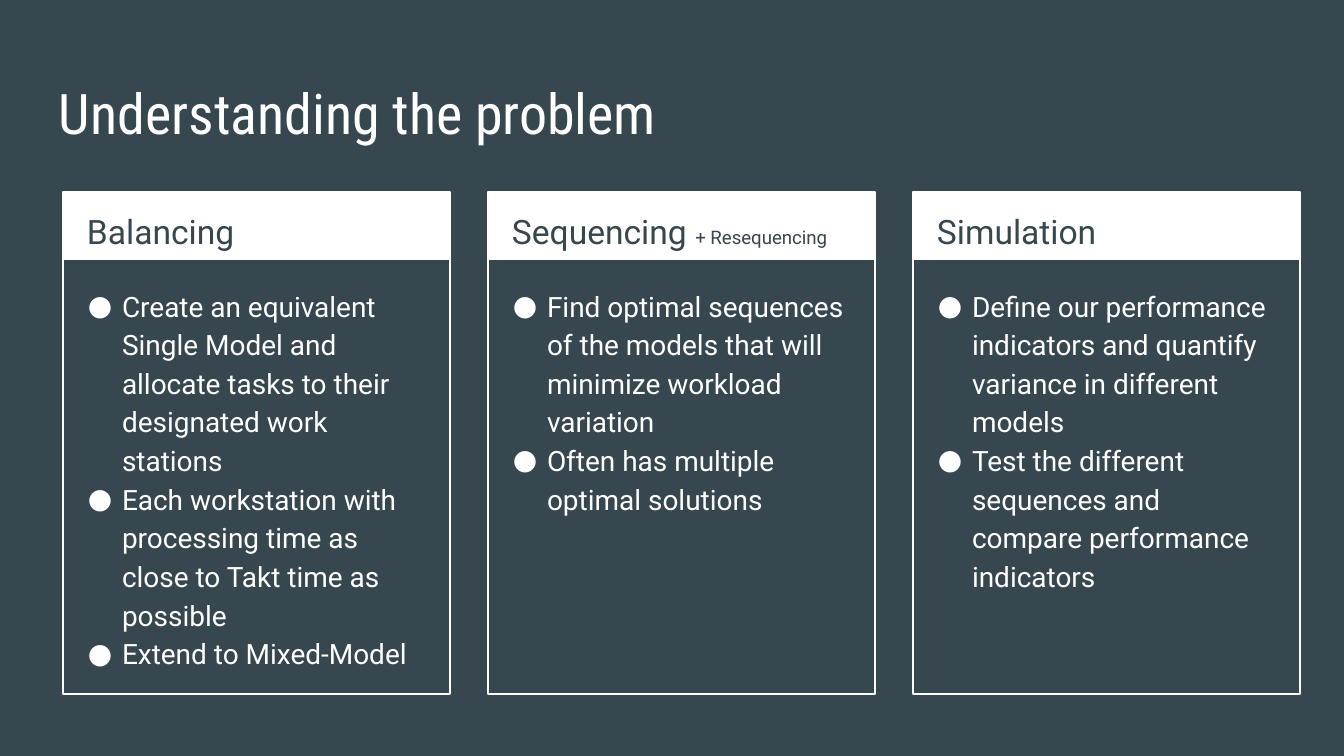
"""Build a slide with three titled cards that explain the problem."""
from dataclasses import dataclass

from lxml import etree
from pptx import Presentation
from pptx.dml.color import RGBColor
from pptx.enum.shapes import MSO_SHAPE
from pptx.enum.text import MSO_ANCHOR, MSO_AUTO_SIZE, PP_ALIGN
from pptx.oxml.ns import qn
from pptx.shapes.base import BaseShape
from pptx.shapes.group import GroupShape
from pptx.slide import Slide
from pptx.text.text import TextFrame, _Paragraph
from pptx.util import Emu, Pt

RECTANGLE = MSO_SHAPE.RECTANGLE
TOP = MSO_ANCHOR.TOP
LEFT = PP_ALIGN.LEFT
NO_AUTOFIT = MSO_AUTO_SIZE.NONE

SLATE = RGBColor(0x37, 0x47, 0x4F)
WHITE = RGBColor(0xFF, 0xFF, 0xFF)
BODY_FONT = "Roboto"
TITLE_FONT = "Roboto Condensed"

EMU_PER_PX = 914400 / 134.4
COMPARISON_LAYOUT = 3 + 1
UNUSED_PLACEHOLDER = 1
INSET = 13
BULLET_MARGIN = 34
BULLET_INDENT = -47

CARD_LEFT, CARD_TOP, CARD_PITCH = 63, 192, 425
CARD_WIDTH, CARD_HEIGHT, HEADER_HEIGHT = 387, 502, 68


@dataclass(frozen=True)
class Box:
    left: int
    top: int
    width: int
    height: int


@dataclass(frozen=True)
class Card:
    heading: str
    note: str
    points: tuple[str, ...]
    placeholder: int


CARDS = (
    Card("Balancing", "", (
        "Create an equivalent Single Model and allocate tasks to their designated work stations",
        "Each workstation with processing time as close to Takt time as possible",
        "Extend to Mixed-Model",
    ), 2),
    Card("Sequencing ", "+ Resequencing", (
        "Find optimal sequences of the models that will minimize workload variation",
        "Often has multiple optimal solutions",
    ), 3),
    Card("Simulation", "", (
        "Define our performance indicators and quantify variance in different models",
        "Test the different sequences and compare performance indicators",
    ), 4),
)


def px(length: int) -> Emu:
    """Turn pixels into EMU."""
    return Emu(round(length * EMU_PER_PX))


def place(shape: BaseShape, box: Box) -> None:
    """Move and size a shape."""
    shape.left, shape.top = px(box.left), px(box.top)
    shape.width, shape.height = px(box.width), px(box.height)


def prepare_frame(frame: TextFrame) -> None:
    """Give a text frame its wrapping, anchor and insets."""
    frame.word_wrap = True
    frame.auto_size = NO_AUTOFIT
    frame.vertical_anchor = TOP
    frame.margin_left = frame.margin_right = px(INSET)
    frame.margin_top = frame.margin_bottom = px(INSET)


def format_paragraph(paragraph: _Paragraph, spacing: float) -> None:
    """Align a paragraph and set its spacing."""
    paragraph.alignment = LEFT
    paragraph.line_spacing = spacing
    paragraph.space_before = paragraph.space_after = Pt(0)


def add_run(paragraph: _Paragraph, text: str, size: int, color: RGBColor,
            font_name: str = BODY_FONT) -> None:
    """Add a formatted run to a paragraph."""
    run = paragraph.add_run()
    run.text = text
    run.font.name = font_name
    run.font.size = Pt(size)
    run.font.bold = False
    run.font.color.rgb = color


def add_bullet(paragraph: _Paragraph) -> None:
    """Give a paragraph a white round bullet with a hanging indent."""
    properties = paragraph._p.get_or_add_pPr()
    properties.set("marL", str(px(BULLET_MARGIN)))
    properties.set("indent", str(px(BULLET_INDENT)))
    color = etree.SubElement(properties, qn("a:buClr"))
    etree.SubElement(color, qn("a:srgbClr"), val=str(WHITE))
    etree.SubElement(properties, qn("a:buFont"), typeface=BODY_FONT)
    etree.SubElement(properties, qn("a:buChar"), char="●")


def add_rectangle(group: GroupShape, box: Box, filled: bool) -> None:
    """Add a white rectangle, either filled or outlined."""
    rectangle = group.shapes.add_shape(RECTANGLE, 0, 0, 0, 0)
    place(rectangle, box)
    rectangle.shadow.inherit = False
    if filled:
        rectangle.fill.solid()
        rectangle.fill.fore_color.rgb = WHITE
        rectangle.line.fill.background()
    else:
        rectangle.fill.background()
        rectangle.line.color.rgb = WHITE
        rectangle.line.width = Pt(0.75)


def write_title(slide: Slide, text: str) -> None:
    """Place and write the slide title."""
    title = slide.shapes.title
    place(title, Box(46, 66, 1253, 85))
    prepare_frame(title.text_frame)
    paragraph = title.text_frame.paragraphs[0]
    format_paragraph(paragraph, 1.0)
    add_run(paragraph, text, 30, WHITE, TITLE_FONT)


def draw_card(slide: Slide, card: Card, left: int) -> None:
    """Draw one card with its header, frame, heading and list."""
    group = slide.shapes.add_group_shape()
    add_rectangle(group, Box(left, CARD_TOP, CARD_WIDTH, HEADER_HEIGHT), True)
    add_rectangle(group, Box(left, CARD_TOP, CARD_WIDTH, CARD_HEIGHT), False)

    heading = slide.shapes.add_textbox(0, 0, 0, 0)
    place(heading, Box(left + 11, CARD_TOP, 367, HEADER_HEIGHT))
    prepare_frame(heading.text_frame)
    paragraph = heading.text_frame.paragraphs[0]
    format_paragraph(paragraph, 1.15)
    add_run(paragraph, card.heading, 18, SLATE)
    if card.note:
        add_run(paragraph, card.note, 10, SLATE)

    body = slide.placeholders[card.placeholder]
    place(body, Box(left + 12, 271, 364, 411))
    prepare_frame(body.text_frame)
    for index, point in enumerate(card.points):
        frame = body.text_frame
        paragraph = frame.add_paragraph() if index else frame.paragraphs[0]
        format_paragraph(paragraph, 1.15)
        add_bullet(paragraph)
        add_run(paragraph, point, 15, WHITE)


def main() -> None:
    """Build and save the presentation."""
    presentation = Presentation()
    presentation.slide_width, presentation.slide_height = px(1344), px(756)
    slide = presentation.slides.add_slide(presentation.slide_layouts[COMPARISON_LAYOUT])
    slide.background.fill.solid()
    slide.background.fill.fore_color.rgb = SLATE
    unused = slide.placeholders[UNUSED_PLACEHOLDER].element
    unused.getparent().remove(unused)

    write_title(slide, "Understanding the problem")
    for index, card in enumerate(CARDS):
        draw_card(slide, card, CARD_LEFT + index * CARD_PITCH)
    presentation.save("out.pptx")


if __name__ == "__main__":
    main()
